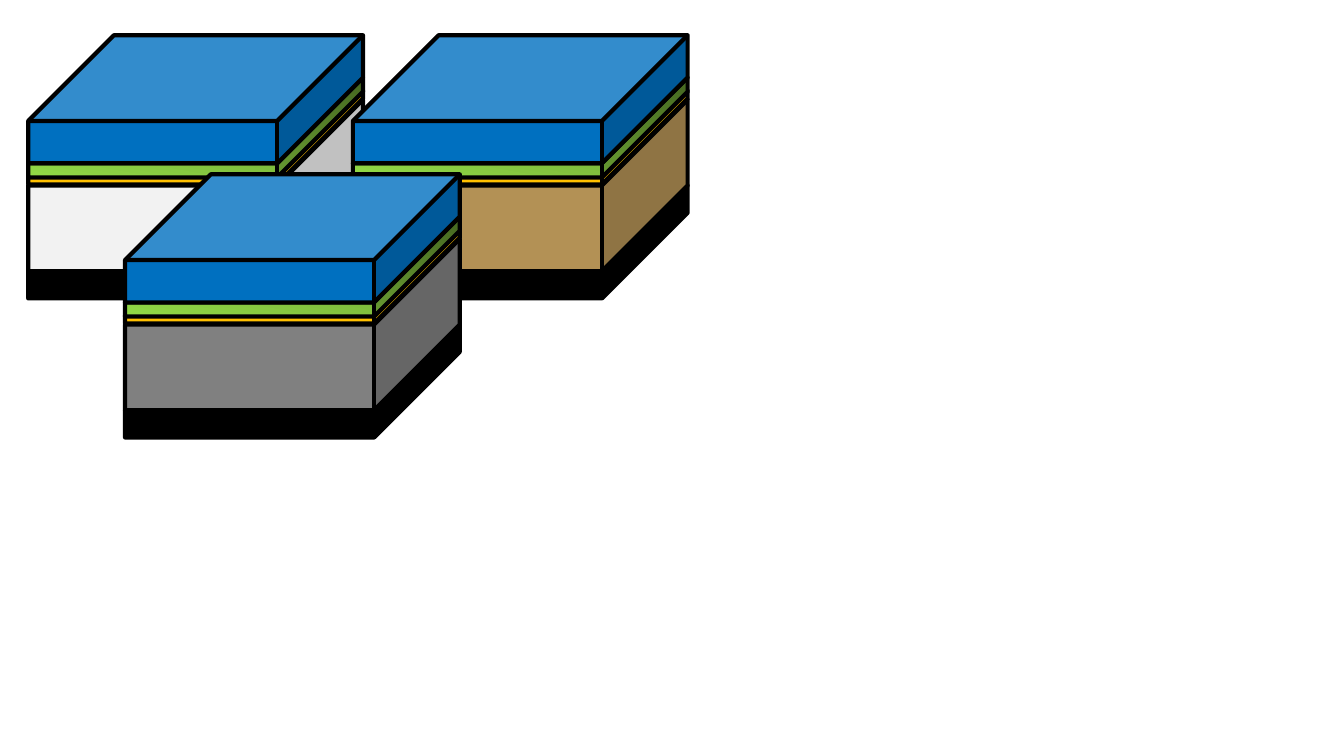
from copy import deepcopy

from pptx import Presentation
from pptx.dml.color import RGBColor
from pptx.enum.shapes import MSO_SHAPE
from pptx.oxml.ns import qn
from pptx.util import Inches, Pt

COLORS = {
    "black": "000000",
    "white": "F2F2F2",
    "brown": "B39155",
    "gray": "808080",
    "gold": "FFC000",
    "blue": "0070C0",
    "green dark": "57812A",
    "green mid": "7BB73B",
    "green light": "92DA46",
}
GREEN_STOPS = [(0, "green dark"), (0.59, "green mid"), (1, "green light")]
BLOCK_WIDTH = 3.32
DEPTH = 0.85


def rgb(name):
    return RGBColor.from_string(COLORS[name])


def fill_green(layer):
    layer.fill.gradient()
    layer.fill.gradient_angle = 260
    stop_list = layer.element.spPr.find(qn("a:gradFill")).find(qn("a:gsLst"))
    stop_list.append(deepcopy(stop_list[-1]))
    for stop, (position, color) in zip(layer.fill.gradient_stops, GREEN_STOPS):
        stop.position = position
        stop.color.rgb = rgb(color)


prs = Presentation()
prs.slide_width = Inches(13.33)
prs.slide_height = Inches(7.5)
slide = prs.slides.add_slide(prs.slide_layouts[6])

blocks = [(0.28, 0.35, "white"), (3.5, 0.35, "brown"), (1.24, 1.73, "gray")]

for left, top, substrate in blocks:
    layers = [
        (1.49, 1.12, "black"),
        (0.64, 1.7, substrate),
        (0.55, 0.93, "gold"),
        (0.42, 0.99, "green"),
        (0, 1.27, "blue"),
    ]
    block = slide.shapes.add_group_shape()
    for offset, height, color in layers:
        layer = block.shapes.add_shape(
            MSO_SHAPE.CUBE, Inches(left), Inches(top + offset),
            Inches(BLOCK_WIDTH), Inches(height))
        layer.adjustments[0] = DEPTH / height
        layer.shadow.inherit = False
        layer.line.color.rgb = rgb("black")
        layer.line.width = Pt(3)
        if color == "green":
            fill_green(layer)
        else:
            layer.fill.solid()
            layer.fill.fore_color.rgb = rgb(color)

prs.save("out.pptx")
